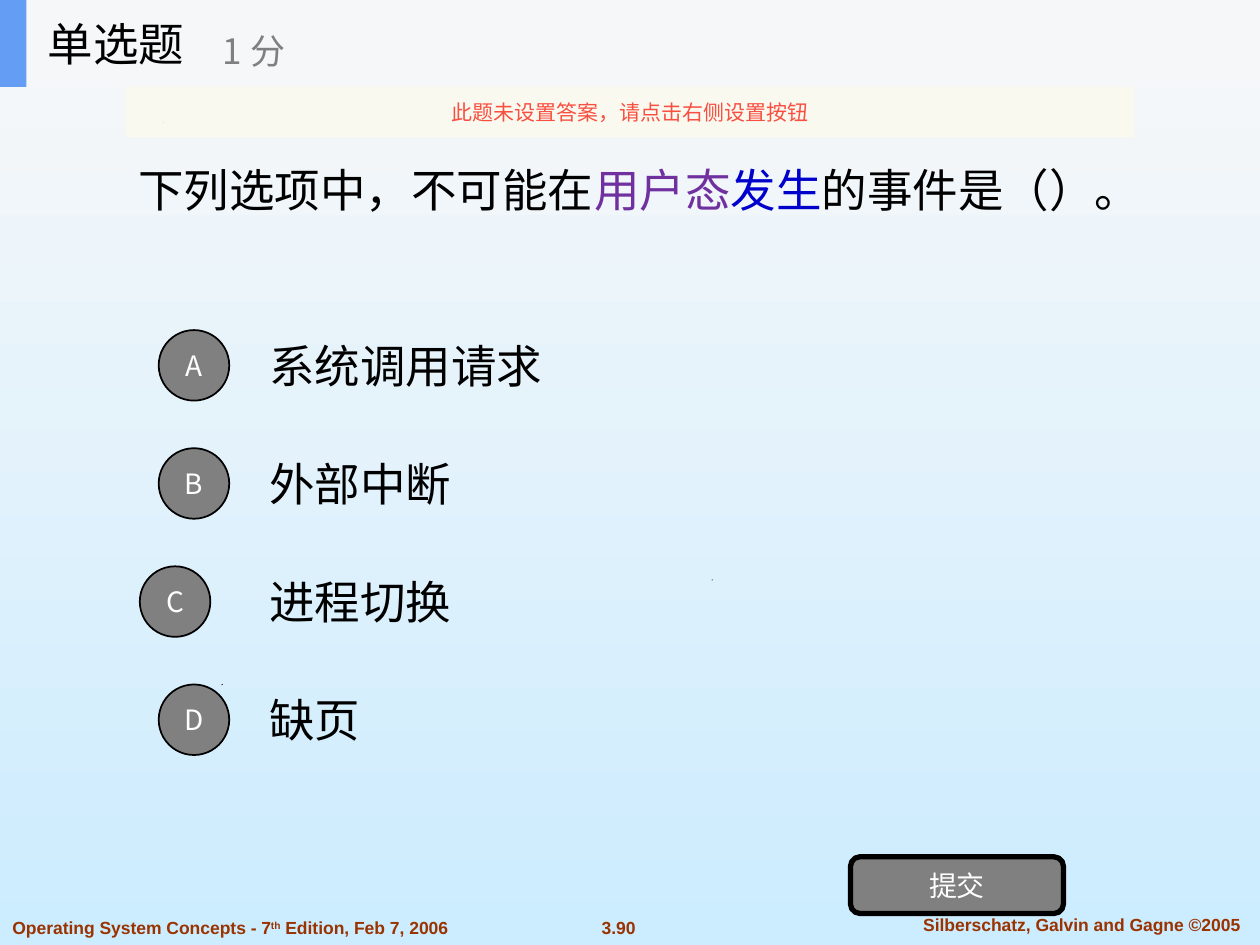
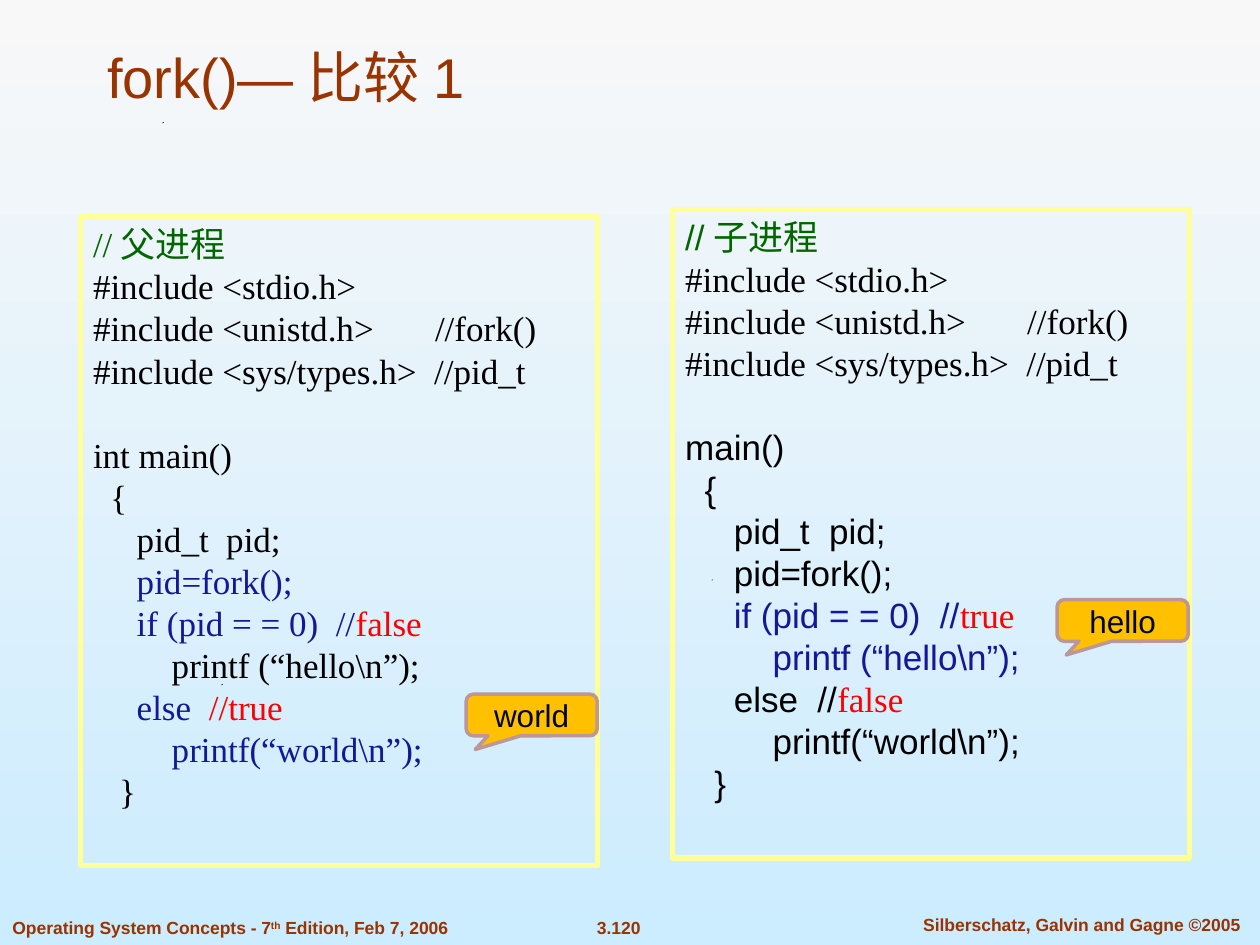
import pptx
import pptx.util
import pptx.dml.color
import pptx.enum.shapes
import pptx.enum.text
import pptx.oxml.ns
import lxml.etree

Inches, Pt = pptx.util.Inches, pptx.util.Pt
KIND = pptx.enum.shapes.MSO_SHAPE
ALIGN = pptx.enum.text.PP_ALIGN
ANCHOR = pptx.enum.text.MSO_ANCHOR
qn = pptx.oxml.ns.qn
rgb = pptx.dml.color.RGBColor.from_string

INK = {"top": "F8F8F8", "base": "CCECFF", "brown": "993300", "black": "000000",
       "white": "FFFFFF", "gray": "808080", "band": "F6F7F8", "tab": "639EF4",
       "cream": "FBFAEF", "warn": "F84F41", "purple": "7030A0", "blue": "0000CC",
       "navy": "121896", "green": "006600", "red": "FF0000", "frame": "FFFF99",
       "gold": "FFC000", "rose": "BD9797", "dark": "000818"}
CJK, SANS, SERIF = "Noto Sans CJK SC", "Arial", "Times New Roman"


def draw(slide, kind, box, fill=None, line=None, width=1):
    """Add a preset shape, or a text box when kind is None."""
    place = [Inches(n) for n in box]
    if kind is None:
        return slide.shapes.add_textbox(*place)
    shape = slide.shapes.add_shape(kind, *place)
    shape.shadow.inherit = False
    if fill:
        shape.fill.solid()
        shape.fill.fore_color.rgb = rgb(INK[fill])
    else:
        shape.fill.background()
    if line:
        shape.line.color.rgb = rgb(INK[line])
        shape.line.width = Pt(width)
    else:
        shape.line.fill.background()
    return shape


def write(shape, rows, size, face=CJK, align=ALIGN.LEFT, anchor=ANCHOR.MIDDLE, bold=False):
    """Fill a shape with rows of (text, ink[, face]) runs."""
    frame = shape.text_frame
    frame.word_wrap = True
    frame.auto_size = pptx.enum.text.MSO_AUTO_SIZE.NONE
    frame.vertical_anchor = anchor
    for i, row in enumerate(rows):
        para = frame.add_paragraph() if i else frame.paragraphs[0]
        para.alignment = align
        for text, ink, *own in row:
            run = para.add_run()
            run.text = text
            run.font.size = Pt(size)
            run.font.bold = bold
            run.font.color.rgb = rgb(INK[ink])
            run.font.name = own[0] if own else face
            east = lxml.etree.SubElement(run._r.get_or_add_rPr(), qn("a:ea"))
            east.set("typeface", CJK)
    return frame


deck = pptx.Presentation()
deck.slide_width, deck.slide_height = Inches(10), Inches(7.5)

# Shared background
back = deck.slide_master.background.fill
back.gradient()
back.gradient_angle = 270
for stop, ink in zip(back.gradient_stops, ("top", "base")):
    stop.color.rgb = rgb(INK[ink])

# Shared specks and footers
slides = []
for page in ("3.90", "3.120"):
    slide = deck.slides.add_slide(deck.slide_layouts[5])
    slides.append(slide)
    for x, y in ((176, 543), (130, 460), (565, 460), (129, 97)):
        path = slide.shapes.build_freeform(x, y + 1, scale=Inches(0.01))
        path.add_line_segments([(x + 1, y), (x, y)], close=True)
        speck = path.convert_to_shape()
        speck.shadow.inherit = False
        speck.fill.solid()
        speck.fill.fore_color.rgb = rgb(INK["black"])
        speck.line.fill.background()
    edition = [("Operating System Concepts - 7", "brown"), ("th", "brown"),
               (" Edition, Feb 7, 2006", "brown")]
    credit = [("Silberschatz, Galvin and Gagne ©2005", "brown")]
    for box, row, align in (((4.59, 7.23, 0.64, 0.27), [(page, "brown")], ALIGN.CENTER),
                            ((7.1, 7.2, 2.97, 0.27), credit, ALIGN.CENTER),
                            ((0, 7.23, 4.09, 0.27), edition, ALIGN.LEFT)):
        frame = write(draw(slide, None, box), [row], 10, SANS, align, bold=True)
    frame.paragraphs[0].runs[1]._r.get_or_add_rPr().set("baseline", "30000")

quiz, fork = slides

# Quiz: question
write(draw(quiz, None, (1, 0.69, 8.54, 1.62)),
      [[("下列选项中，不可能在", "black"), ("用户态", "purple"),
        ("发生", "blue"), ("的事件是（）。", "black")]], 26)

# Quiz: choices
for i, text in enumerate(("系统调用请求", "外部中断", "进程切换", "缺页")):
    y = 2.55 + 0.9375 * i
    mark = "ABCD"[i]
    left = 1.11 if mark == "C" else 1.26
    write(draw(quiz, None, (2.04, y, 7, 0.7)), [[(text, "black")]], 26)
    disc = draw(quiz, KIND.OVAL, (left, y + 0.07, 0.56, 0.56), "gray", "black")
    write(disc, [[(mark, "white")]], 16, align=ALIGN.CENTER)

# Quiz: submit button
button = draw(quiz, KIND.ROUNDED_RECTANGLE, (6.75, 6.8, 1.69, 0.45), "gray", "black", 3)
write(button, [[("提交", "white")]], 16, align=ALIGN.CENTER)

# Quiz: header band, title and score
draw(quiz, KIND.RECTANGLE, (0, 0, 10, 0.69), "band")
draw(quiz, KIND.RECTANGLE, (0, 0, 0.21, 0.69), "tab")
write(draw(quiz, None, (1.67, 0.12, 2.5, 0.56)), [[("1分", "gray")]], 20)

# Quiz: warning strip
strip = draw(quiz, KIND.RECTANGLE, (1, 0.69, 8, 0.4), "cream")
tint = strip._element.spPr.find(".//" + qn("a:srgbClr"))
lxml.etree.SubElement(tint, qn("a:alpha")).set("val", "90000")
write(strip, [[("此题未设置答案，请点击右侧设置按钮", "warn")]], 12, align=ALIGN.CENTER)

# Titles, raised above the bands
for slide, text, box, size, ink, face, anchor in (
        (quiz, "单选题", (0.28, 0, 2.08, 0.69), 26, "black", CJK, ANCHOR.MIDDLE),
        (fork, "fork()—比较1", (0.75, 0.25, 8.83, 0.67), 32, "brown", SANS, ANCHOR.BOTTOM)):
    title = slide.shapes.title
    title.left, title.top, title.width, title.height = [Inches(n) for n in box]
    write(title, [[(text, ink)]], size, face, anchor=anchor)
    slide.shapes._spTree.append(title._element)

# Fork: code of parent and child
heads = [[(text, "black", SERIF)] for text in (
    "#include <stdio.h>",
    "#include <unistd.h>       //fork()",
    "#include <sys/types.h>  //pid_t")]
shared = [[("  {", "black")], [("     pid_t  pid;", "black")]]
end = [[("   }", "black")]]
parent = [[("//父进程", "green")], *heads, [("int main()", "black")], *shared,
          [("     pid=fork();", "navy")],
          [("     if (pid = = 0)  //", "navy"), ("false", "red")],
          [("         printf (“hello\\n”);", "black")],
          [("     else  ", "navy"), ("//true", "red")],
          [("         printf(“world\\n”);", "navy")], *end]
child = [[("//子进程", "green")], *heads, [("main()", "black")], *shared,
         [("     pid=fork();", "black")],
         [("     if (pid = = 0)  //", "navy"), ("true", "red", SERIF)],
         [("         printf (“hello\\n”);", "navy")],
         [("     else  //", "black"), ("false", "red", SERIF)],
         [("         printf(“world\\n”);", "black")], *end]
for rows, face, x, y in ((parent, SERIF, 0.64, 1.72), (child, SANS, 5.34, 1.66)):
    panel = draw(fork, KIND.RECTANGLE, (x, y, 4.1, 5.15), None, "frame", 3)
    frame = write(panel, rows, 20, face, anchor=ANCHOR.TOP)
    for para in frame.paragraphs:
        para.line_spacing = Pt(24)
    frame.paragraphs[4].space_before = Pt(24)

# Fork: output callouts
for text, x, y in (("world", 3.7, 5.51), ("hello", 8.39, 4.76)):
    call = draw(fork, KIND.ROUNDED_RECTANGULAR_CALLOUT, (x, y, 1.04, 0.33),
                "gold", "rose", 2)
    for i, value in enumerate((-0.43, 0.83, 0.17)):
        call.adjustments[i] = value
    write(call, [[(text, "dark")]], 18, SANS, ALIGN.CENTER)

deck.save("out.pptx")
